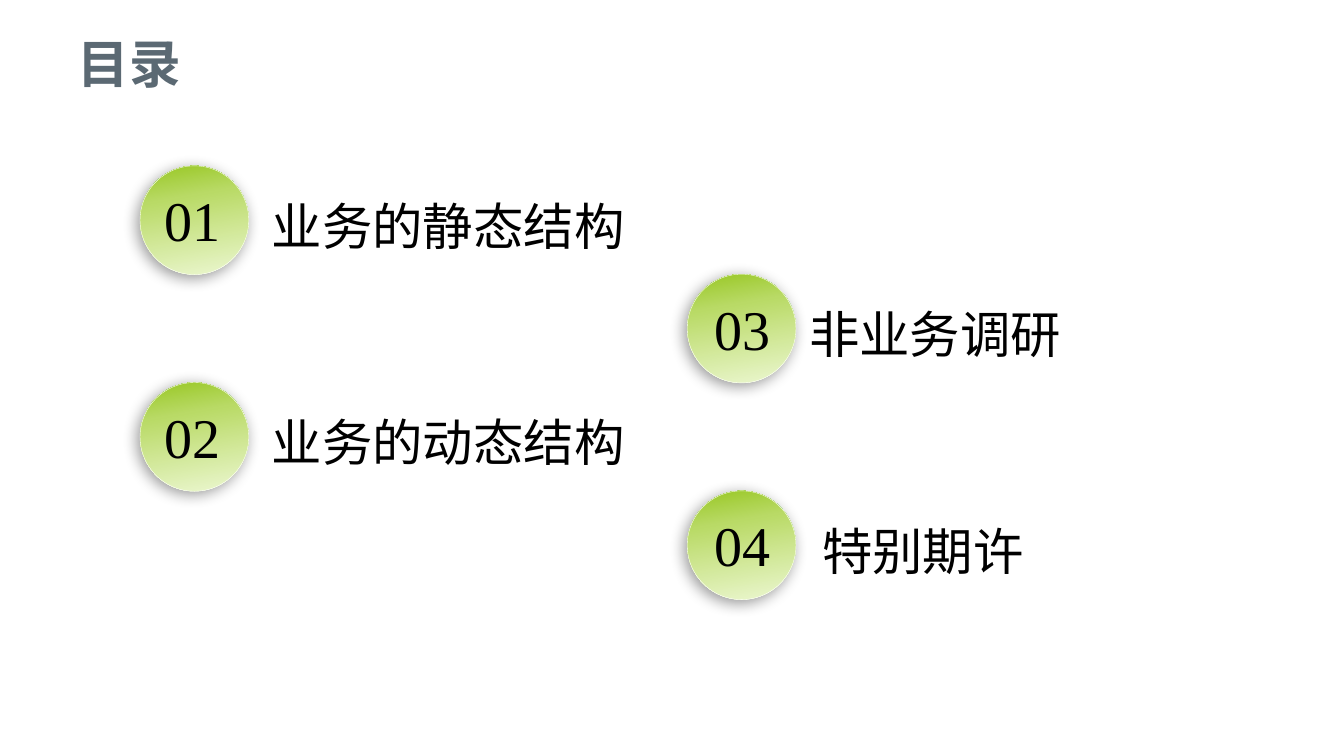
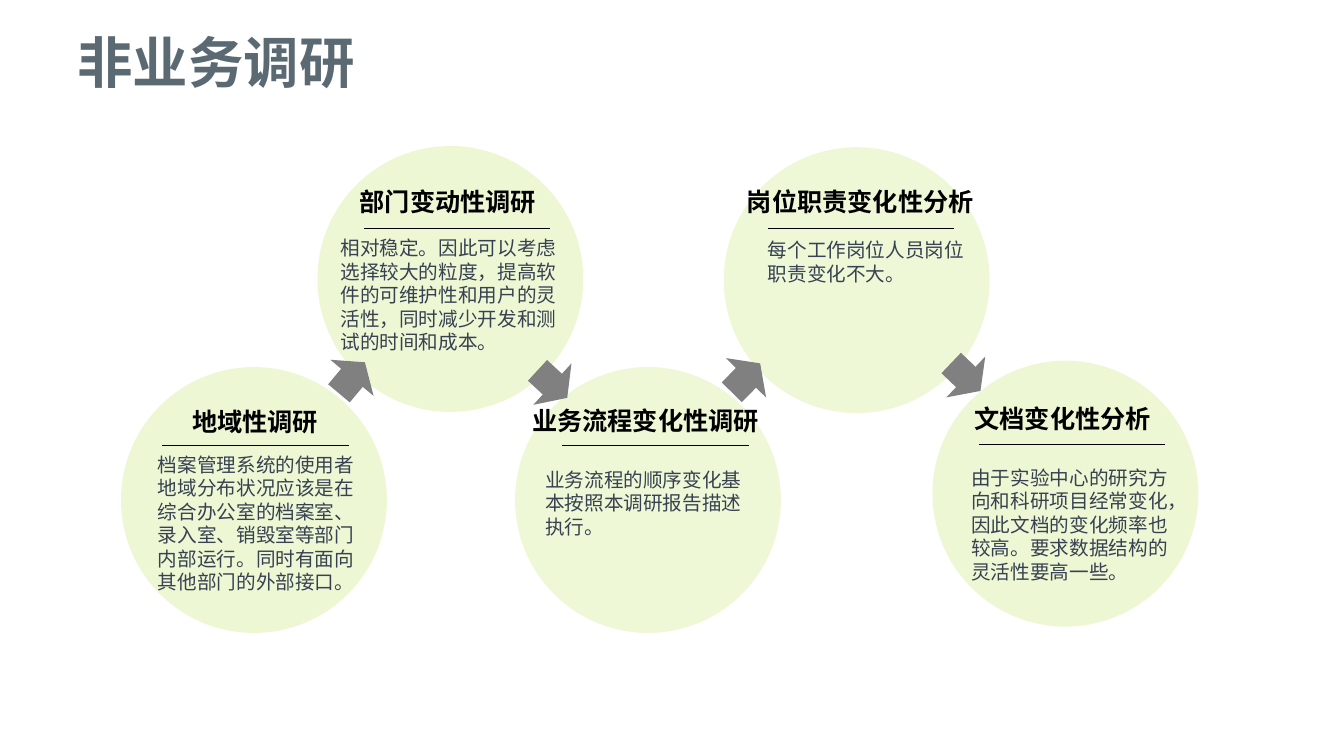
from lxml.etree import SubElement
from pptx import Presentation
from pptx.dml.color import RGBColor
from pptx.enum.shapes import MSO_CONNECTOR, MSO_SHAPE
from pptx.enum.text import MSO_ANCHOR, PP_ALIGN
from pptx.oxml.ns import qn
from pptx.util import Cm, Pt

COLORS = {
    "title": "5B6973",
    "text": "000000",
    "body": "374151",
    "circle": "C5E672",
    "arrow": "808080",
    "outline": "FFFFFF",
    "shadow": "000000",
    "light": "ECF7D0",
    "middle": "B9DA66",
    "green": "98C723",
}
SERIF = "Times New Roman"
SANS = "Arial"
CHINESE = "Noto Sans CJK SC"

BADGE_SIZE = 2.74
BADGE_STEP = 2.73
CIRCLE_SIZE = 6.7
RULE_LENGTH = 4.7

AGENDA = [
    ("01", "业务的静态结构", 3.53, 0, 3.89, 6.6),
    ("02", "业务的动态结构", 3.53, 2, 3.89, 6.6),
    ("03", "非业务调研", 17.32, 1, 17.75, 20.14),
    ("04", "特别期许", 17.32, 3, 17.75, 20.47),
]

TOPICS = [
    {
        "circle": (3.05, 9.25, 30), "heading": (6.43, 10.11),
        "rule": (4.09, 11.23), "body": (3.73, 11.28, 5.9),
        "name": "地域性调研",
        "detail": "档案管理系统的使用者地域分布状况应该是在综合办公室的档案室、"
                  "录入室、销毁室等部门内部运行。同时有面向其他部门的外部接口。",
    },
    {
        "circle": (8, 3.68, 30), "heading": (11.29, 4.57),
        "rule": (9.17, 5.74), "body": (8.33, 5.82, 6.22),
        "name": "部门变动性调研",
        "detail": "相对稳定。因此可以考虑选择较大的粒度，提高软件的可维护性和"
                  "用户的灵活性，同时减少开发和测试的时间和成本。",
    },
    {
        "circle": (12.98, 9.25, 28), "heading": (16.27, 10.08),
        "rule": (14.17, 11.23), "body": (13.49, 11.66, 5.9),
        "name": "业务流程变化性调研",
        "detail": "业务流程的顺序变化基本按照本调研报告描述执行。",
    },
    {
        "circle": (18.24, 3.71, 28), "heading": (21.68, 4.57),
        "rule": (19.35, 5.74), "body": (19.1, 5.87, 5.9),
        "name": "岗位职责变化性分析",
        "detail": "每个工作岗位人员岗位职责变化不大。",
    },
    {
        "circle": (23.5, 9.09, 30), "heading": (26.78, 10.03),
        "rule": (24.66, 11.2), "body": (24.23, 11.61, 5.9),
        "name": "文档变化性分析",
        "detail": "由于实验中心的研究方向和科研项目经常变化，因此文档的变化频率"
                  "也较高。要求数据结构的灵活性要高一些。",
    },
]

ARROWS = [
    (8.36, 8.81, 309.9),
    (13.41, 8.97, 42.7),
    (18.29, 8.81, 314.4),
    (23.83, 8.79, 43.6),
]


def rgb(name):
    return RGBColor.from_string(COLORS[name])


def add_text(slide, text, left, top, width, height, *, size, font=SERIF, color="text",
             bold=False, align=PP_ALIGN.LEFT, anchor=MSO_ANCHOR.TOP, spacing=None):
    frame = slide.shapes.add_textbox(Cm(left), Cm(top), Cm(width), Cm(height)).text_frame
    frame.word_wrap = True
    frame.vertical_anchor = anchor
    paragraph = frame.paragraphs[0]
    paragraph.alignment = align
    if spacing:
        paragraph.line_spacing = Pt(round(size * spacing, 1))
    run = paragraph.add_run()
    run.text = text
    run.font.size = Pt(size)
    run.font.name = font
    run.font.bold = bold
    run.font.color.rgb = rgb(color)
    east_asian = SubElement(run.font._element, qn("a:ea"), typeface=CHINESE)
    run.font._element.find(qn("a:latin")).addnext(east_asian)


def add_title(slide, text, top, size):
    add_text(slide, text, 1.7, top, 30.48, 1.55, size=size, color="title",
             bold=True, anchor=MSO_ANCHOR.MIDDLE)


def add_filled_shape(slide, kind, left, top, width, height, color, opacity=100):
    shape = slide.shapes.add_shape(kind, Cm(left), Cm(top), Cm(width), Cm(height))
    shape.shadow.inherit = False
    shape.fill.solid()
    shape.fill.fore_color.rgb = rgb(color)
    shape.line.fill.background()
    if opacity < 100:
        fill_color = shape._element.spPr.find(qn("a:solidFill"))[0]
        SubElement(fill_color, qn("a:alpha"), val=str(opacity * 1000))
    return shape


def add_badge(slide, left, top):
    shape = add_filled_shape(slide, MSO_SHAPE.OVAL, left, top, BADGE_SIZE, BADGE_SIZE, "green")
    shape.line.color.rgb = rgb("outline")
    shape.line.width = Pt(0.25)

    shape.fill.gradient()
    shape.fill.gradient_angle = 100
    properties = shape._element.spPr
    stops = properties.find(qn("a:gradFill")).find(qn("a:gsLst"))
    for stop in list(stops):
        stops.remove(stop)
    for position, name in ((0, "light"), (70, "middle"), (100, "green")):
        stop = SubElement(stops, qn("a:gs"), pos=str(position * 1000))
        SubElement(stop, qn("a:srgbClr"), val=COLORS[name])

    shadow = SubElement(properties.find(qn("a:effectLst")), qn("a:outerShdw"),
                        blurRad=str(Pt(11)), dist=str(Pt(3)), dir=str(135 * 60000))
    shadow_color = SubElement(shadow, qn("a:srgbClr"), val=COLORS["shadow"])
    SubElement(shadow_color, qn("a:alpha"), val="40000")


def add_rule(slide, left, top):
    connector = slide.shapes.add_connector(
        MSO_CONNECTOR.STRAIGHT, Cm(left), Cm(top), Cm(left + RULE_LENGTH), Cm(top))
    connector.line.color.rgb = rgb("text")
    connector.line.width = Pt(0.25)
    SubElement(connector._element.spPr, qn("a:effectLst"))


def add_topic_text(slide, topic):
    center, top = topic["heading"]
    width = 6.6
    add_text(slide, topic["name"], center - width / 2, top, width, 1.02, size=18,
             font=CHINESE, bold=True, align=PP_ALIGN.CENTER, spacing=1.2)
    add_rule(slide, *topic["rule"])
    left, top, width = topic["body"]
    add_text(slide, topic["detail"], left, top, width, 3.8, size=14,
             font=SANS, color="body", spacing=1.2)


def build_agenda(slide):
    add_title(slide, "目录", 0.81, 36.9)
    for number, label, left, row, number_left, label_left in AGENDA:
        top = 4.18 + row * BADGE_STEP
        add_badge(slide, left, top)
        add_text(slide, number, number_left, top + 0.38, 2.26, 1.96, size=40)
        add_text(slide, label, label_left, top + 0.48, 9.6, 1.8, size=36, spacing=1.3)


def build_topics(slide):
    add_title(slide, "非业务调研", 0.76, 39.6)
    for topic in TOPICS:
        left, top, opacity = topic["circle"]
        add_filled_shape(slide, MSO_SHAPE.OVAL, left, top, CIRCLE_SIZE, CIRCLE_SIZE,
                         "circle", opacity)
    for left, top, rotation in ARROWS:
        arrow = add_filled_shape(slide, MSO_SHAPE.RIGHT_ARROW, left, top, 1.02, 1.42, "arrow")
        arrow.rotation = rotation
    for topic in TOPICS:
        add_topic_text(slide, topic)


def main():
    presentation = Presentation()
    presentation.slide_width = Cm(33.87)
    presentation.slide_height = Cm(19.05)
    blank = presentation.slide_layouts[6]
    for build in (build_agenda, build_topics):
        build(presentation.slides.add_slide(blank))
    presentation.save("out.pptx")


if __name__ == "__main__":
    main()
